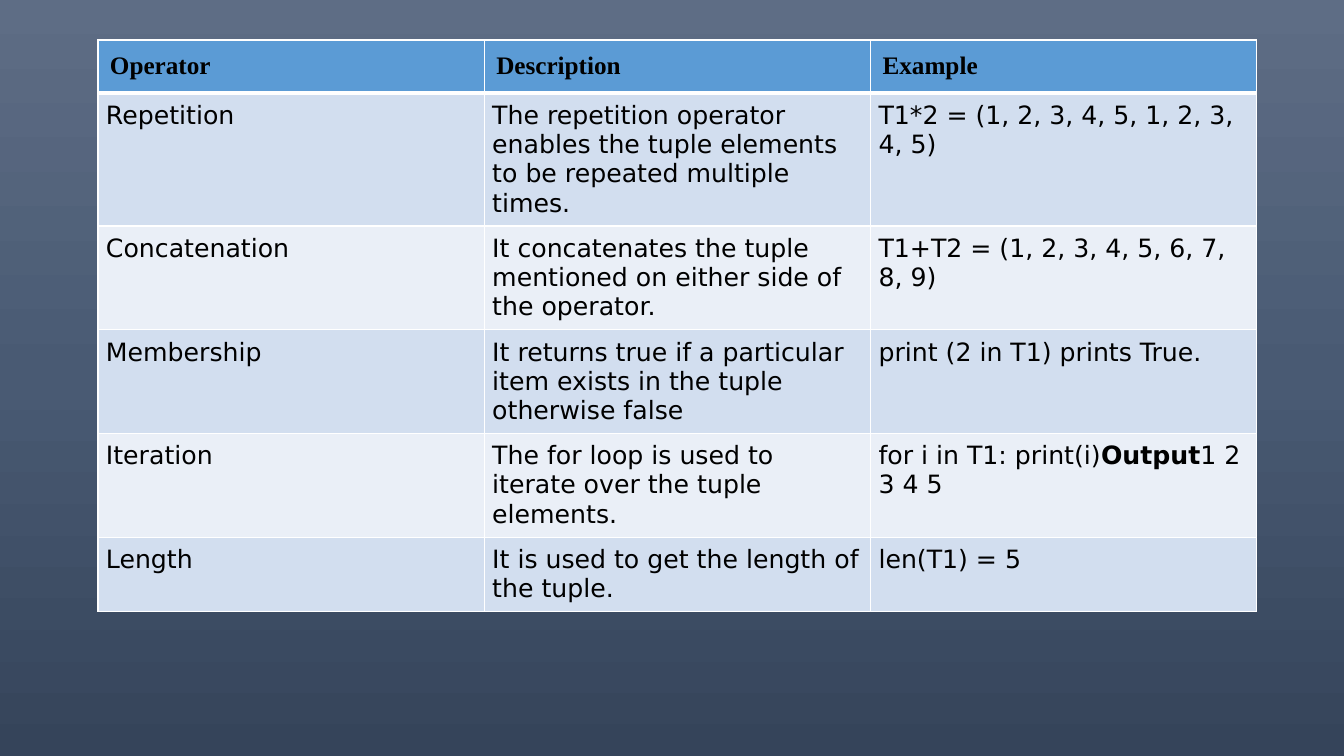
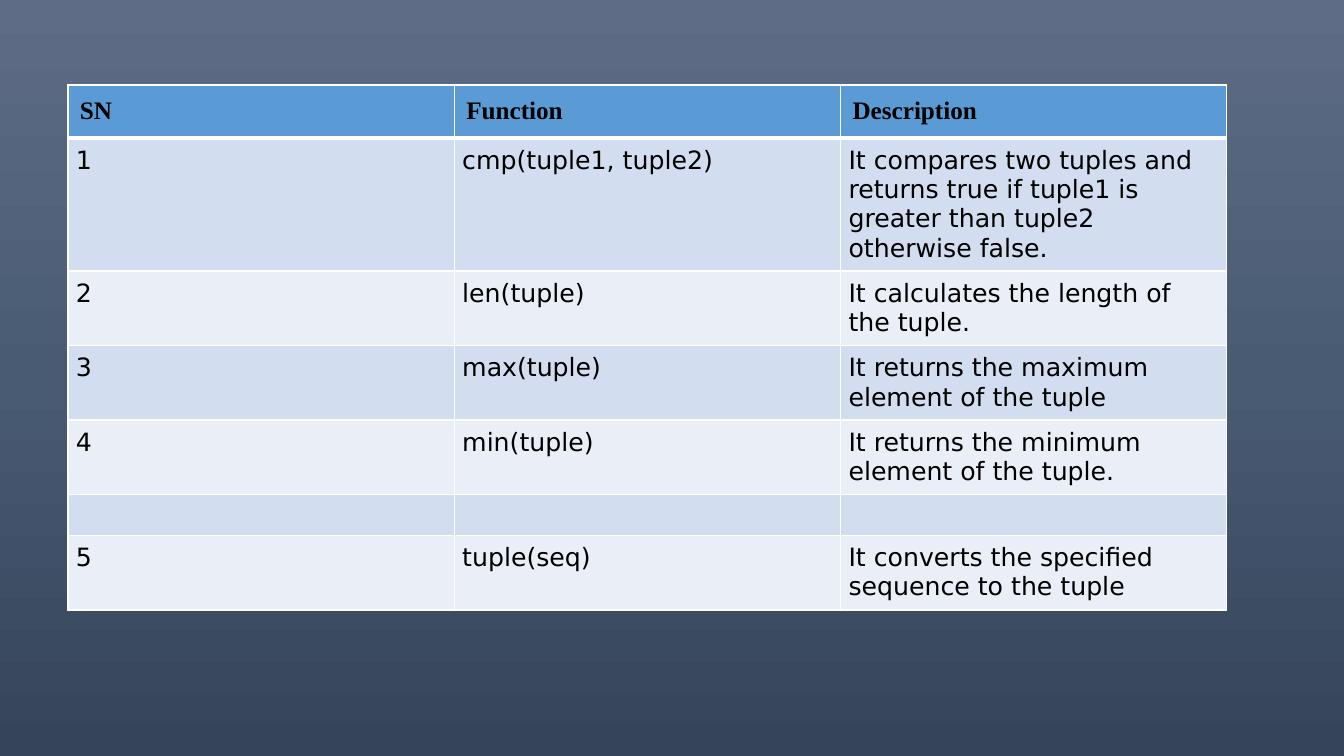
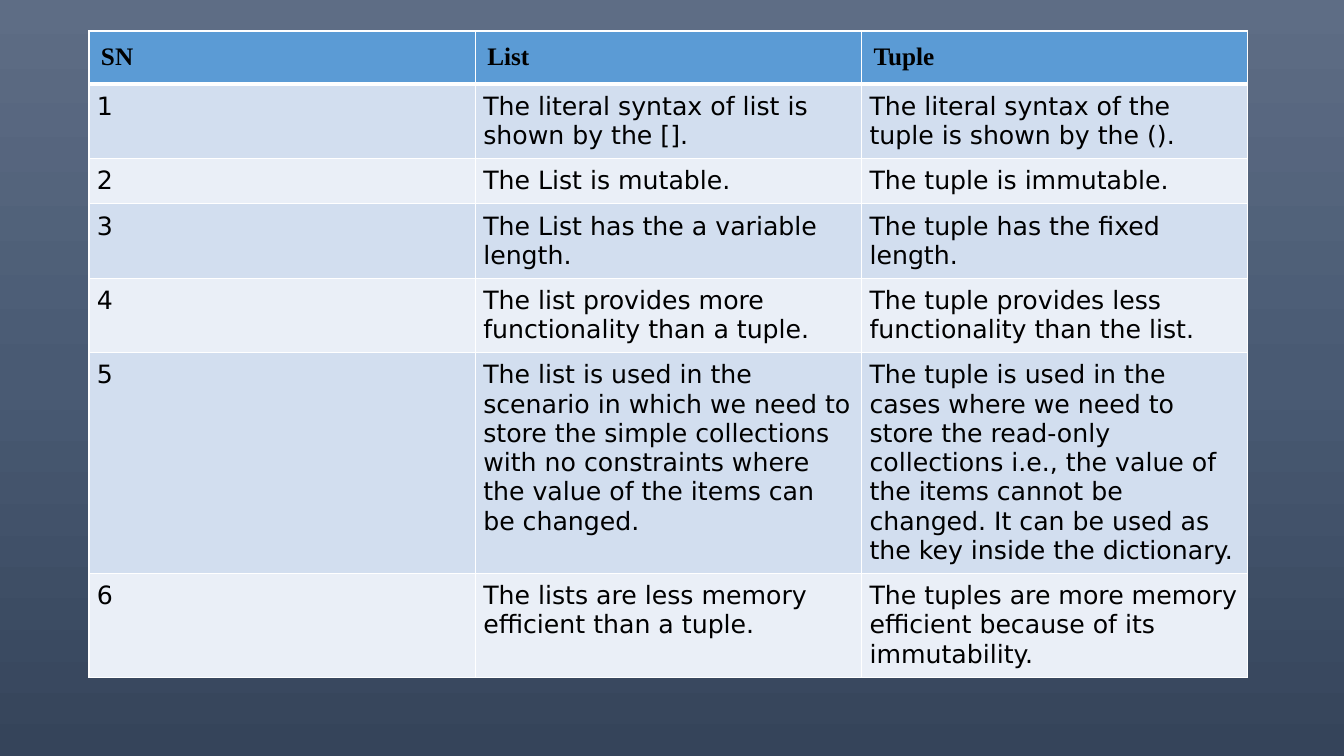
from copy import deepcopy
from dataclasses import dataclass

from lxml.etree import SubElement
from pptx import Presentation
from pptx.dml.color import RGBColor
from pptx.oxml.ns import qn
from pptx.util import Emu, Pt

# Shared look
EMU_PER_PX = 12192000 / 1344
SLIDE_W, SLIDE_H = 1344, 756
TABLE_W = 1159
HEADER_H, EMPTY_H, LINE_H = 53, 41, 29
HEADER_INSET, BODY_INSET = 12, 8
HEADER_FONT, BODY_FONT = "Times New Roman", "DejaVu Sans"
TEXT_SIZE = Pt(18)
THIN, THICK = Pt(1), Pt(3)

BLACK = RGBColor(0x00, 0x00, 0x00)
WHITE = RGBColor(0xFF, 0xFF, 0xFF)
HEADER_BLUE = RGBColor(0x5B, 0x9B, 0xD5)
BANDS = (RGBColor(0xD2, 0xDE, 0xEF), RGBColor(0xEA, 0xEF, 0xF7))
BACKDROP = (
    (0.0, RGBColor(0x5E, 0x6D, 0x85)),
    (0.5, RGBColor(0x49, 0x5A, 0x73)),
    (1.0, RGBColor(0x35, 0x44, 0x5A)),
)


@dataclass(frozen=True)
class Row:
    lines: int  # text lines in the tallest cell
    cells: tuple[str, ...]  # ** marks bold text

    @property
    def height(self) -> int:
        return 2 * BODY_INSET + LINE_H * self.lines if self.lines else EMPTY_H


@dataclass(frozen=True)
class TableSlide:
    left: int
    top: int
    header: tuple[str, ...]
    rows: tuple[Row, ...]


TABLE_SLIDES = (
    TableSlide(98, 40, ("Operator", "Description", "Example"), (
        Row(4, ("Repetition",
                "The repetition operator enables the tuple elements to be repeated multiple times.",
                "T1*2 = (1, 2, 3, 4, 5, 1, 2, 3, 4, 5)")),
        Row(3, ("Concatenation",
                "It concatenates the tuple mentioned on either side of the operator.",
                "T1+T2 = (1, 2, 3, 4, 5, 6, 7, 8, 9)")),
        Row(3, ("Membership",
                "It returns true if a particular item exists in the tuple otherwise false",
                "print (2 in T1) prints True.")),
        Row(3, ("Iteration",
                "The for loop is used to iterate over the tuple elements.",
                "for i in T1: print(i)**Output**1 2 3 4 5")),
        Row(2, ("Length",
                "It is used to get the length of the tuple.",
                "len(T1) = 5")),
    )),
    TableSlide(68, 85, ("SN", "Function", "Description"), (
        Row(4, ("1", "cmp(tuple1, tuple2)",
                "It compares two tuples and returns true if tuple1 is greater than tuple2 "
                "otherwise false.")),
        Row(2, ("2", "len(tuple)", "It calculates the length of the tuple.")),
        Row(2, ("3", "max(tuple)", "It returns the maximum element of the tuple")),
        Row(2, ("4", "min(tuple)", "It returns the minimum element of the tuple.")),
        Row(0, ("", "", "")),
        Row(2, ("5", "tuple(seq)", "It converts the specified sequence to the tuple")),
    )),
    TableSlide(89, 31, ("SN", "List", "Tuple"), (
        Row(2, ("1", "The literal syntax of list is shown by the [].",
                "The literal syntax of the tuple is shown by the ().")),
        Row(1, ("2", "The List is mutable.", "The tuple is immutable.")),
        Row(2, ("3", "The List has the a variable length.",
                "The tuple has the fixed length.")),
        Row(2, ("4", "The list provides more functionality than a tuple.",
                "The tuple provides less functionality than the list.")),
        Row(7, ("5",
                "The list is used in the scenario in which we need to store the simple "
                "collections with no constraints where the value of the items can be changed.",
                "The tuple is used in the cases where we need to store the read-only "
                "collections i.e., the value of the items cannot be changed. It can be used "
                "as the key inside the dictionary.")),
        Row(3, ("6", "The lists are less memory efficient than a tuple.",
                "The tuples are more memory efficient because of its immutability.")),
    )),
)


def px(n: int) -> Emu:
    return Emu(round(n * EMU_PER_PX))


def set_backdrop(master) -> None:
    """Give the master a three-stop vertical gradient."""
    fill = master.background.fill
    fill.gradient()
    fill.gradient_angle = 270
    stop_list = master.element.find(".//" + qn("a:gsLst"))
    stop_list.insert(1, deepcopy(stop_list[0]))
    for stop, (position, color) in zip(fill.gradient_stops, BACKDROP):
        stop.position = position
        stop.color.rgb = color


def set_borders(cell, top: int, bottom: int) -> None:
    tc_pr = cell._tc.get_or_add_tcPr()
    for side, width in (("L", THIN), ("R", THIN), ("T", top), ("B", bottom)):
        ln = SubElement(tc_pr, qn(f"a:ln{side}"), w=str(int(width)))
        solid = SubElement(ln, qn("a:solidFill"))
        SubElement(solid, qn("a:srgbClr"), val=str(WHITE))


def write_cell(cell, text: str, font: str, inset: int, header: bool) -> None:
    cell.margin_left = cell.margin_right = px(inset)
    cell.margin_top = cell.margin_bottom = px(inset)
    p = cell.text_frame.paragraphs[0]
    for i, part in enumerate(text.split("**")):
        r = p.add_run()
        r.text = part
        r.font.name = font
        r.font.size = TEXT_SIZE
        r.font.bold = header or i % 2 == 1
        r.font.color.rgb = BLACK


def add_table_slide(prs, item: TableSlide) -> None:
    s = prs.slides.add_slide(prs.slide_layouts[6])
    heights = [HEADER_H, *(row.height for row in item.rows)]
    table = s.shapes.add_table(
        len(heights), len(item.header),
        px(item.left), px(item.top), px(TABLE_W), px(sum(heights)),
    ).table
    table.first_row = table.horz_banding = False

    texts = [item.header, *(row.cells for row in item.rows)]
    for i, (height, row_texts) in enumerate(zip(heights, texts)):
        table.rows[i].height = px(height)
        header = i == 0
        for cell, text in zip(table.rows[i].cells, row_texts):
            # The rule under the header is thick on both sides of the edge
            set_borders(cell, THICK if i == 1 else THIN, THICK if header else THIN)
            cell.fill.solid()
            cell.fill.fore_color.rgb = HEADER_BLUE if header else BANDS[(i - 1) % 2]
            if text:
                write_cell(cell, text, HEADER_FONT if header else BODY_FONT,
                           HEADER_INSET if header else BODY_INSET, header)


def main() -> None:
    prs = Presentation()
    prs.slide_width, prs.slide_height = px(SLIDE_W), px(SLIDE_H)
    set_backdrop(prs.slide_master)
    for item in TABLE_SLIDES:
        add_table_slide(prs, item)
    prs.save("out.pptx")


if __name__ == "__main__":
    main()
